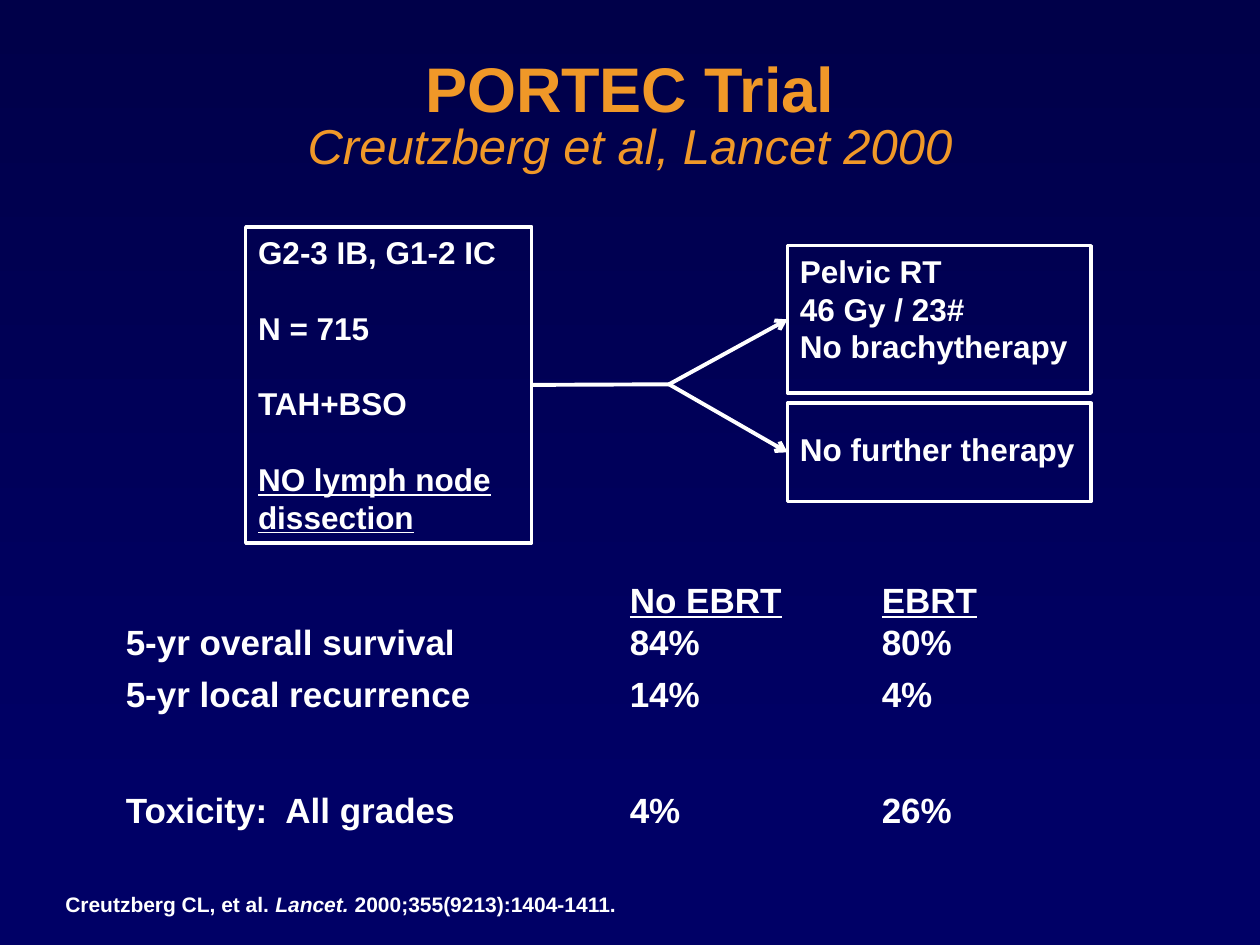
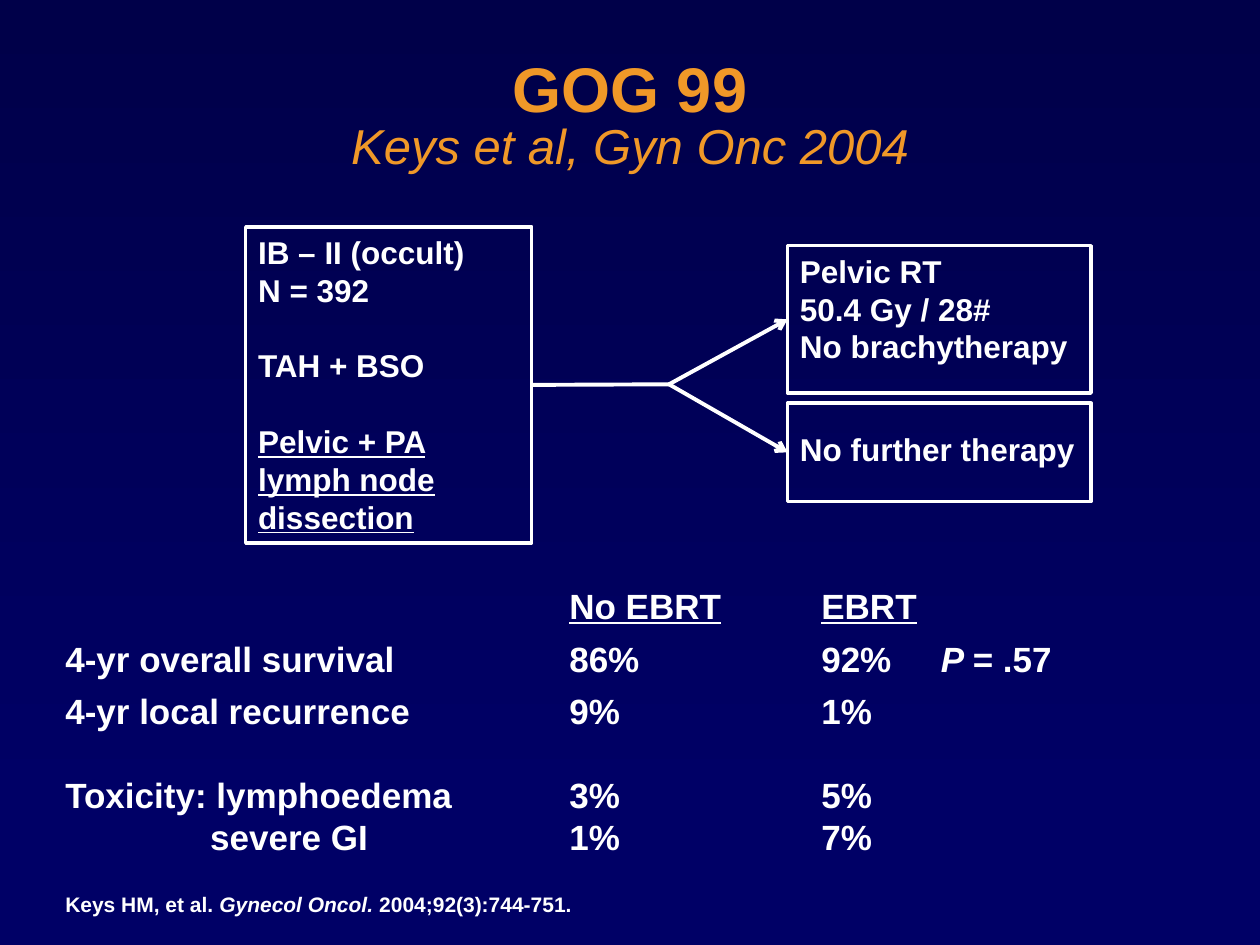
from copy import deepcopy

from lxml.etree import SubElement
from pptx import Presentation
from pptx.dml.color import RGBColor
from pptx.enum.shapes import MSO_CONNECTOR, MSO_SHAPE
from pptx.enum.text import MSO_ANCHOR, MSO_AUTO_SIZE, PP_ALIGN
from pptx.oxml import parse_xml
from pptx.oxml.ns import nsdecls, qn
from pptx.util import Inches, Pt

WHITE = RGBColor(0xFF, 0xFF, 0xFF)
ORANGE = RGBColor(0xF0, 0x98, 0x28)
DARK = RGBColor(0x00, 0x00, 0x49)
NAVY = RGBColor(0x00, 0x00, 0x66)
FONT = "Arial"
COLS, ROWS = 100, 75
UNIT = Inches(10) // COLS
STOPS = (11.5, 40, 60, 69.5)
LEAD = 1.2
UNDER = {"underline": True}
SLANT = {"italic": True}
SHADE = (
    f'<a:effectLst {nsdecls("a")}><a:outerShdw blurRad="38100" dist="38100" dir="2700000">'
    '<a:srgbClr val="000000"/></a:outerShdw></a:effectLst>'
)


def grid(*cells):
    return [int(cell * UNIT) for cell in cells]


def add_run(para, text, color=WHITE, **style):
    run = para.add_run()
    run.text = text
    run.font.color.rgb = color
    for name, value in ({"name": FONT, "bold": True} | style).items():
        setattr(run.font, name, value)
    return run


def add_tabs(para):
    tabs = SubElement(para._p.get_or_add_pPr(), qn("a:tabLst"))
    for stop in grid(*STOPS):
        SubElement(tabs, qn("a:tab"), pos=str(stop), algn="l")


def write(frame, lines, size, tabs=False):
    """Each line is its space before, in points, then its runs: text or (text, style)."""
    for num, (gap, *runs) in enumerate(lines):
        para = frame.add_paragraph() if num else frame.paragraphs[0]
        if tabs:
            add_tabs(para)
        form = {"alignment": PP_ALIGN.LEFT, "line_spacing": Pt(size * LEAD),
                "space_before": Pt(gap), "space_after": Pt(0)}
        for name, value in form.items():
            setattr(para, name, value)
        for run in runs:
            text, style = (run, {}) if isinstance(run, str) else run
            add_run(para, text, size=Pt(size), **style)


def set_theme(deck):
    fill = deck.slide_master.background.fill
    fill.gradient()
    fill.gradient_angle = 270
    for stop, color, pos in zip(fill.gradient_stops, (DARK, NAVY), (0, 0.86)):
        stop.color.rgb = color
        stop.position = pos
    layout = deck.slide_layouts[5]
    title = layout.placeholders[0]
    title.left, title.top, title.width, title.height = grid(3.7, 3.1, 92.6, 12.5)
    return layout


def add_title(slide, trial, source):
    frame = slide.shapes.title.text_frame
    frame.auto_size = MSO_AUTO_SIZE.NONE
    frame.vertical_anchor = MSO_ANCHOR.MIDDLE
    para = frame.paragraphs[0]
    para.alignment = PP_ALIGN.CENTER
    para.line_spacing = 0.85
    head = add_run(para, trial, ORANGE, size=Pt(36))
    para.add_line_break()
    para._p.find(qn("a:br")).append(deepcopy(head._r.rPr))
    sub = add_run(para, source, ORANGE, size=Pt(28), bold=False, italic=True)
    for run in (head, sub):
        run._r.rPr.find(qn("a:solidFill")).addnext(parse_xml(SHADE))


def add_box(slide, place, lines, anchor=MSO_ANCHOR.TOP):
    box = slide.shapes.add_shape(MSO_SHAPE.RECTANGLE, *grid(*place))
    box.shadow.inherit = False
    box.fill.background()
    box.line.color.rgb = WHITE
    box.line.width = Pt(2)
    frame = box.text_frame
    frame.word_wrap = True
    frame.vertical_anchor = anchor
    write(frame, lines, 18)
    return box


def add_text(slide, place, lines, size, tabs=False):
    frame = slide.shapes.add_textbox(*grid(*place)).text_frame
    frame.word_wrap = True
    write(frame, lines, size, tabs)


def add_link(slide, fork, box, side, arrow=True):
    """Line from the fork to the middle of a box's side."""
    link = slide.shapes.add_connector(MSO_CONNECTOR.STRAIGHT, *grid(*fork, *fork))
    link.end_connect(box, side)
    link.line.color.rgb = WHITE
    link.line.width = Pt(2.25)
    if arrow:
        SubElement(link.line._get_or_add_ln(), qn("a:tailEnd"), type="arrow")
    SubElement(link._element.spPr, qn("a:effectLst"))


def add_design(slide, group, dose):
    """Patient group that forks into the two arms."""
    fork = (53.1, 30.5)
    start = add_box(slide, (19.5, 18, 22.7, 25.1), group)
    treat = add_box(slide, (62.5, 19.5, 24.1, 11.7),
                    [(0, "Pelvic RT"), (0, dose), (0, "No brachytherapy")])
    watch = add_box(slide, (62.5, 32, 24.1, 7.8), [(0, "No further therapy")],
                    MSO_ANCHOR.MIDDLE)
    watch.text_frame.margin_bottom = UNIT
    watch.text_frame.margin_right = 0
    add_link(slide, fork, start, 3, arrow=False)
    add_link(slide, fork, treat, 1)
    add_link(slide, fork, watch, 1)


def add_trial(deck, layout, title, group, dose, place, results, cite):
    slide = deck.slides.add_slide(layout)
    add_title(slide, *title)
    add_design(slide, group, dose)
    head = (0, "\t\t", ("No EBRT", UNDER), "\t", ("EBRT", UNDER))
    add_text(slide, place, [head, *results], 20, tabs=True)
    author, journal, issue = cite
    add_text(slide, (4.2, 70.3, 82.4, 3), [(0, author, (journal, SLANT), issue)], 12)


def main():
    deck = Presentation()
    deck.slide_width, deck.slide_height = grid(COLS, ROWS)
    layout = set_theme(deck)
    blank = 18 * LEAD
    add_trial(
        deck, layout, ("PORTEC Trial", "Creutzberg et al, Lancet 2000"),
        [(0, "G2-3 IB, G1-2 IC"), (blank, "N = 715"), (blank, "TAH+BSO"),
         (blank, ("NO lymph node", UNDER)), (0, ("dissection", UNDER))],
        "46 Gy / 23#", (9, 45.4, 79.7, 21.2),
        [(0, "5-yr overall survival\t84%\t80%"),
         (6, "5-yr local recurrence\t14%\t4%"),
         (42, "Toxicity:  All grades\t4%\t26%")],
        ("Creutzberg CL, et al. ", "Lancet. ", "2000;355(9213):1404-1411."))
    add_trial(
        deck, layout, ("GOG 99", "Keys et al, Gyn Onc 2004"),
        [(0, "IB – II (occult)"), (0, "N = 392"), (blank, "TAH + BSO"),
         (blank, ("Pelvic + PA lymph node", UNDER)), (0, ("dissection", UNDER))],
        "50.4 Gy / 28#", (4.2, 45.9, 89.3, 23),
        [(6, "4-yr overall survival\t86%\t92%\t", ("P ", SLANT), "= .57"),
         (6, "4-yr local recurrence\t9%\t1%"),
         (24, "Toxicity: lymphoedema\t3%\t5%"),
         (0, "\tsevere GI\t1%\t7%")],
        ("Keys HM, et al. ", "Gynecol Oncol. ", "2004;92(3):744-751."))
    deck.save("out.pptx")


if __name__ == "__main__":
    main()
